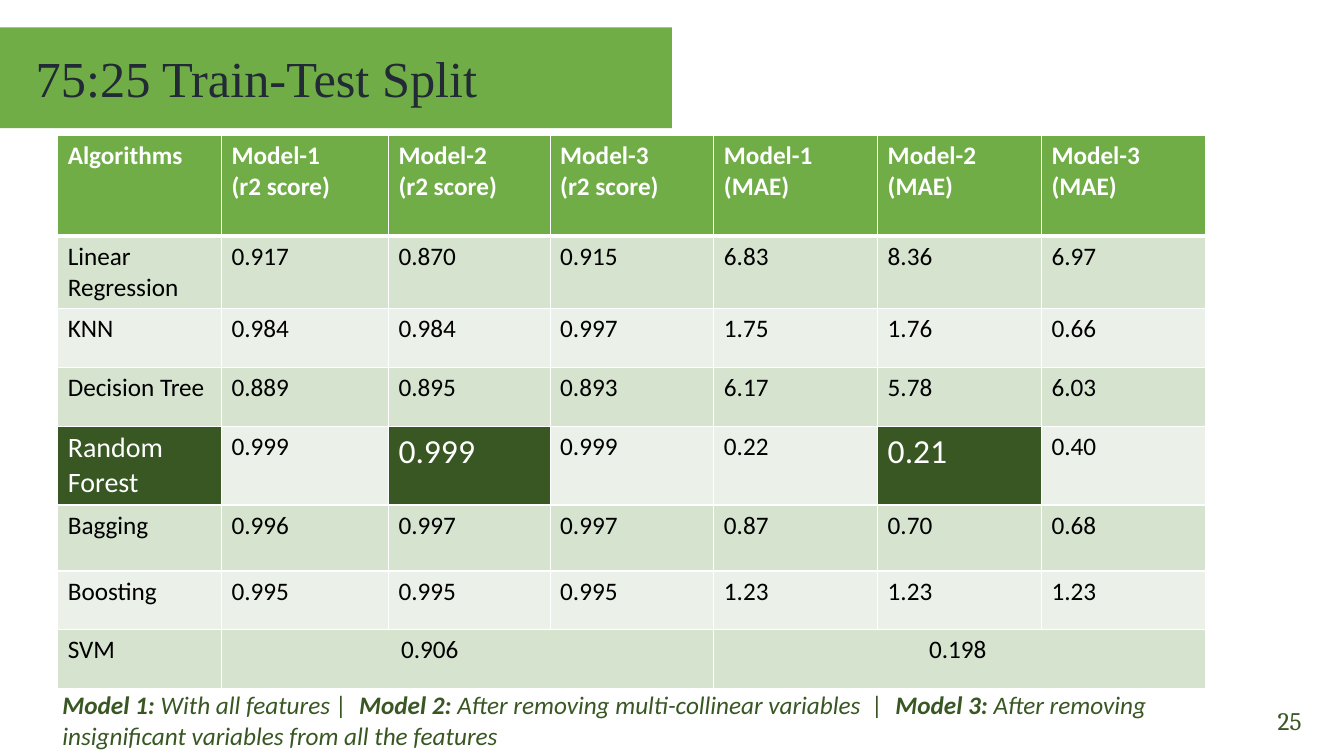
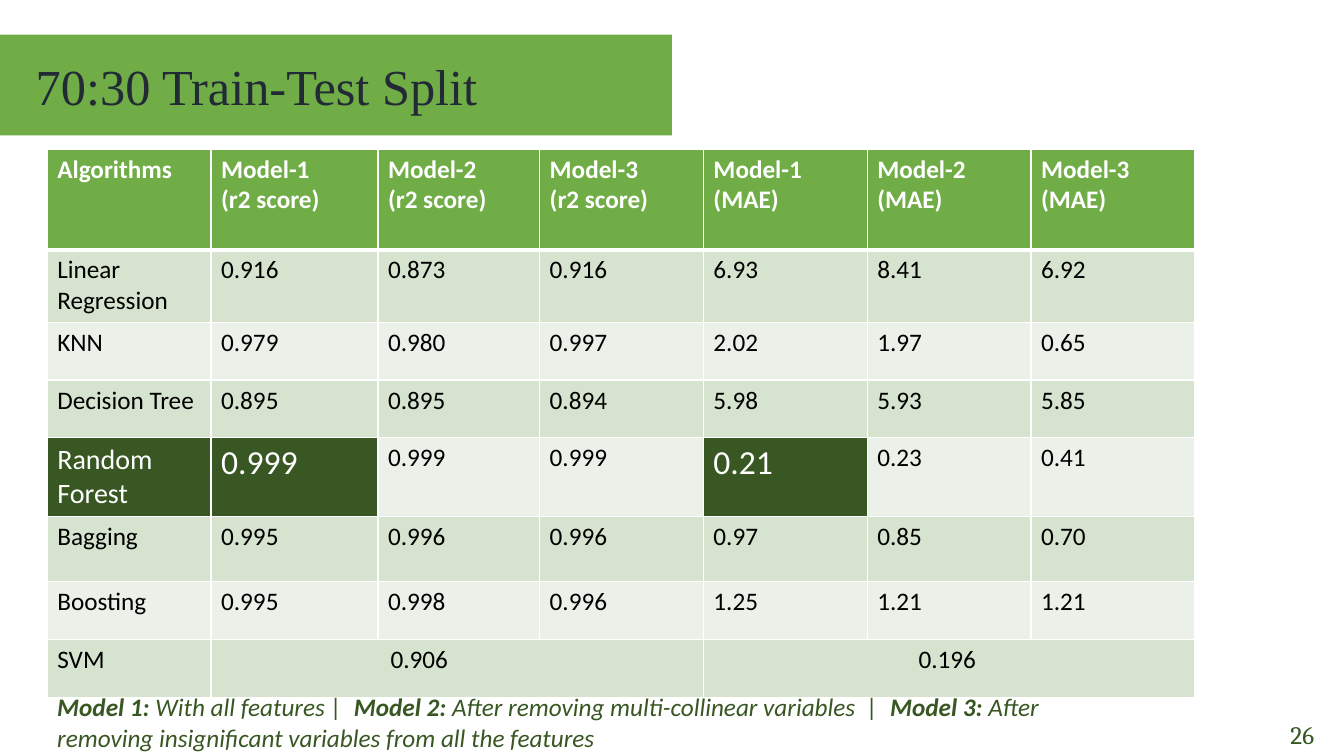
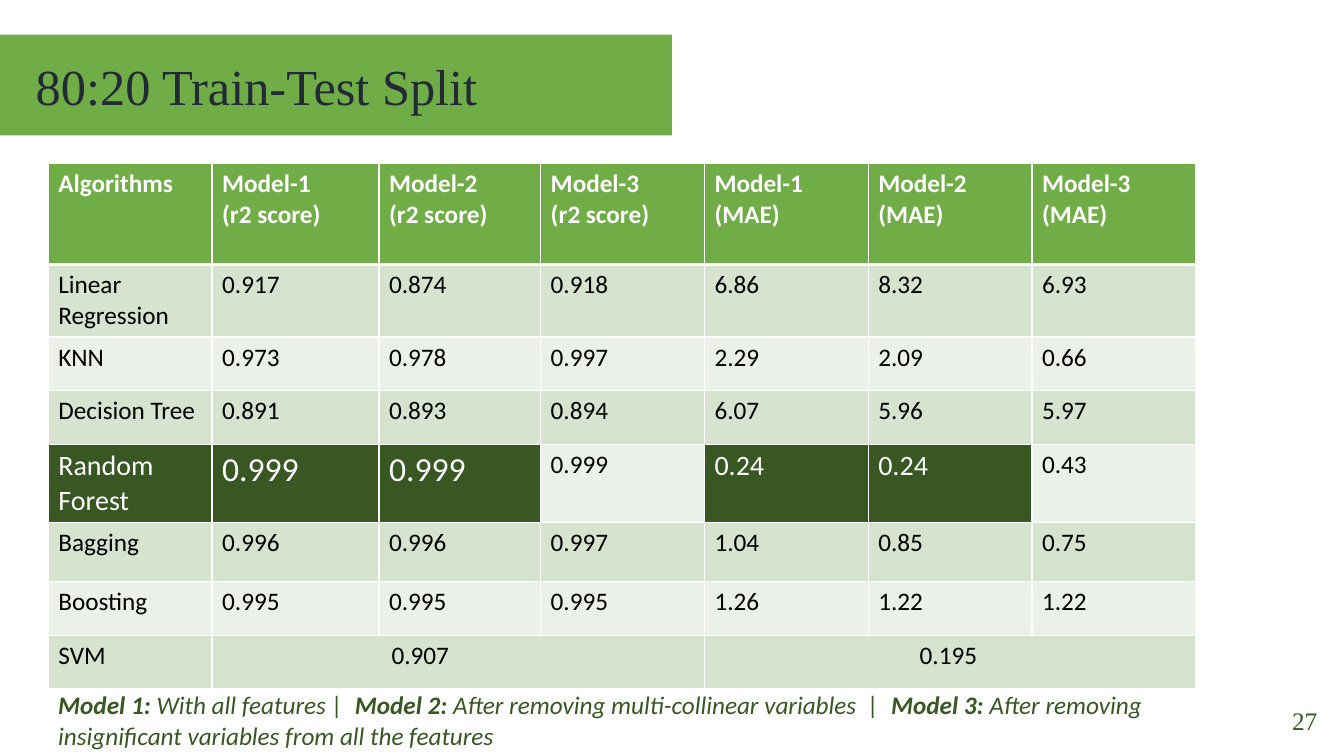
from dataclasses import dataclass

from lxml.etree import SubElement
from pptx import Presentation
from pptx.dml.color import RGBColor
from pptx.enum.text import MSO_ANCHOR, MSO_AUTO_SIZE, PP_ALIGN
from pptx.oxml.ns import qn
from pptx.slide import Slide
from pptx.table import _Cell as Cell
from pptx.text.text import _Paragraph as Para
from pptx.util import Emu, Pt

COLORS = {
    "green": "70AD47", "dark": "385723", "ink": "222A35", "white": "FFFFFF",
    "black": "000000", "odd": "D5E3CF", "even": "EBF1E9",
}
BODY, SERIF, TITLE = "Calibri", "Cambria", "Times New Roman"

# Shared table layout
HEADS = ["Algorithms"] + [f"Model-{n}\n({unit})" for unit in ("r2 score", "MAE") for n in (1, 2, 3)]
NAMES = ["Linear Regression", "KNN", "Decision Tree", "Random Forest", "Bagging", "Boosting", "SVM"]
COLS = [156, 159, 154, 156, 156, 156, 156]
BEST = 4  # row of the best algorithm
MERGED = {1: 171, 4: 205}  # first column of a merged cell: its left inset

NOTES = [
    ("Model 1: ", "With all features |  "),
    ("Model 2: ", "After removing multi-collinear variables  |  "),
    ("Model 3: ", "After removing insignificant variables from all the features"),
]


@dataclass
class Split:
    title: str
    top: int  # of the title band
    grid: tuple[int, int]  # left, top
    row: int  # height of a plain row
    bag: int  # height of the Bagging row
    note: tuple[int, int, int]  # left, top, width
    page: str
    spot: tuple[int, int]  # page number: left, top
    face: str
    marks: dict[int, int]  # highlighted column: text size
    data: list[str]


SPLITS = [
    Split("75:25 Train-Test Split", 26, (55, 129), 56, 63, (50, 652, 1103),
          "25", (961, 667), SERIF, {0: 20, 2: 24, 5: 24}, [
              "0.917 0.870 0.915 6.83 8.36 6.97",
              "0.984 0.984 0.997 1.75 1.76 0.66",
              "0.889 0.895 0.893 6.17 5.78 6.03",
              "0.999 0.999 0.999 0.22 0.21 0.40",
              "0.996 0.997 0.997 0.87 0.70 0.68",
              "0.995 0.995 0.995 1.23 1.23 1.23",
              "0.906 0.198"]),
    Split("70:30 Train-Test Split", 33, (45, 142), 55, 62, (45, 654, 1037),
          "26", (973, 680), SERIF, {0: 20, 1: 24, 4: 24}, [
              "0.916 0.873 0.916 6.93 8.41 6.92",
              "0.979 0.980 0.997 2.02 1.97 0.65",
              "0.895 0.895 0.894 5.98 5.93 5.85",
              "0.999 0.999 0.999 0.21 0.23 0.41",
              "0.995 0.996 0.996 0.97 0.85 0.70",
              "0.995 0.998 0.996 1.25 1.21 1.21",
              "0.906 0.196"]),
    Split("80:20 Train-Test Split", 33, (46, 156), 51, 56, (46, 652, 1084),
          "27", (976, 667), TITLE, {0: 20, 1: 24, 2: 24, 4: 20, 5: 20}, [
              "0.917 0.874 0.918 6.86 8.32 6.93",
              "0.973 0.978 0.997 2.29 2.09 0.66",
              "0.891 0.893 0.894 6.07 5.96 5.97",
              "0.999 0.999 0.999 0.24 0.24 0.43",
              "0.996 0.996 0.997 1.04 0.85 0.75",
              "0.995 0.995 0.995 1.26 1.22 1.22",
              "0.907 0.195"]),
]


def px(size: int) -> Emu:
    return Emu(size * 9525)


def rgb(name: str) -> RGBColor:
    return RGBColor.from_string(COLORS[name])


def put(para: Para, text: str, size: int, color: str, face: str = BODY,
        bold: bool = False, slant: bool = False) -> None:
    run = para.add_run()
    run.text = text
    font = run.font
    font.size, font.name, font.bold, font.italic = Pt(size), face, bold, slant
    font.color.rgb = rgb(color)


def edge(cell: Cell, top: int, base: int) -> None:
    """White cell borders, widths in points."""
    props = cell._tc.get_or_add_tcPr()
    for tag, width in (("lnL", 1), ("lnR", 1), ("lnT", top), ("lnB", base)):
        line = SubElement(props, qn(f"a:{tag}"), w=str(Pt(width)))
        fill = SubElement(line, qn("a:solidFill"))
        SubElement(fill, qn("a:srgbClr"), val=COLORS["white"])


def add_band(slide: Slide, split: Split) -> None:
    band = slide.shapes.title
    band.left, band.top, band.width, band.height = px(0), px(split.top), px(640), px(96)
    band.fill.solid()
    band.fill.fore_color.rgb = rgb("green")
    frame = band.text_frame
    frame.word_wrap = True
    frame.auto_size = MSO_AUTO_SIZE.NONE
    frame.vertical_anchor = MSO_ANCHOR.MIDDLE
    frame.margin_left = px(34)
    para = frame.paragraphs[0]
    para.alignment = PP_ALIGN.LEFT
    put(para, split.title, 36, "ink", TITLE)


def add_grid(slide: Slide, split: Split) -> None:
    plain = split.row
    rows = [96, 69, plain, plain, 75, split.bag, plain, plain]
    left, top = split.grid
    frame = slide.shapes.add_table(len(rows), len(COLS), px(left), px(top),
                                   px(sum(COLS)), px(sum(rows)))
    table = frame.table
    for col, width in zip(table.columns, COLS):
        col.width = px(width)
    for row, height in zip(table.rows, rows):
        row.height = px(height)

    # Each merged value covers three columns
    texts = [HEADS] + [[name] + line.split() for name, line in zip(NAMES, split.data)]
    last = len(rows) - 1
    name, score, error = texts[last]
    texts[last] = [name, score, "", "", error, "", ""]
    for col, inset in MERGED.items():
        table.cell(last, col).merge(table.cell(last, col + 2))
        table.cell(last, col).margin_left = px(inset)

    for r, line in enumerate(texts):
        for c, text in enumerate(line):
            cell = table.cell(r, c)
            size, color, fill = 18, "black", "odd" if r % 2 else "even"
            if r == 0:
                color, fill = "white", "green"
            elif r == BEST and c in split.marks:
                size, color, fill = split.marks[c], "white", "dark"
            edge(cell, 3 if r == 1 else 1, 3 if r == 0 else 1)
            cell.fill.solid()
            cell.fill.fore_color.rgb = rgb(fill)
            if not text:
                continue
            for n, part in enumerate(text.split("\n")):
                body = cell.text_frame
                para = body.add_paragraph() if n else body.paragraphs[0]
                put(para, part, size, color, bold=r == 0)


def add_note(slide: Slide, split: Split) -> None:
    left, top, width = split.note
    frame = slide.shapes.add_textbox(px(left), px(top), px(width), px(68)).text_frame
    frame.word_wrap = True
    para = frame.paragraphs[0]
    for label, text in NOTES:
        put(para, label, 18, "dark", bold=True, slant=True)
        put(para, text, 18, "dark", slant=True)


def add_page(slide: Slide, split: Split) -> None:
    left, top = split.spot
    frame = slide.shapes.add_textbox(px(left), px(top), px(288), px(38)).text_frame
    frame.word_wrap = True
    frame.vertical_anchor = MSO_ANCHOR.MIDDLE
    para = frame.paragraphs[0]
    para.alignment = PP_ALIGN.RIGHT
    put(para, split.page, 18, "dark", split.face)


def main() -> None:
    deck = Presentation()
    deck.slide_width, deck.slide_height = px(1280), px(720)
    for split in SPLITS:
        slide = deck.slides.add_slide(deck.slide_layouts[5])
        for draw in (add_band, add_grid, add_note, add_page):
            draw(slide, split)
    deck.save("out.pptx")


if __name__ == "__main__":
    main()
